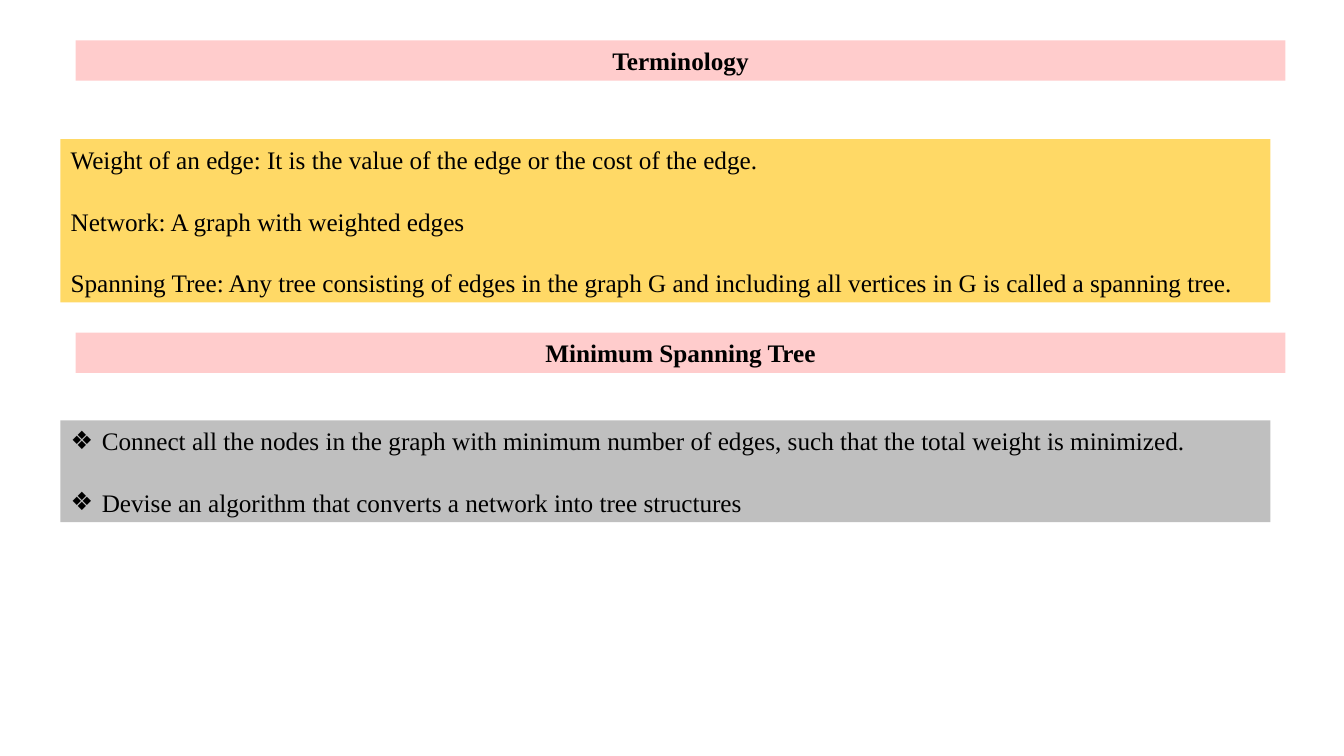
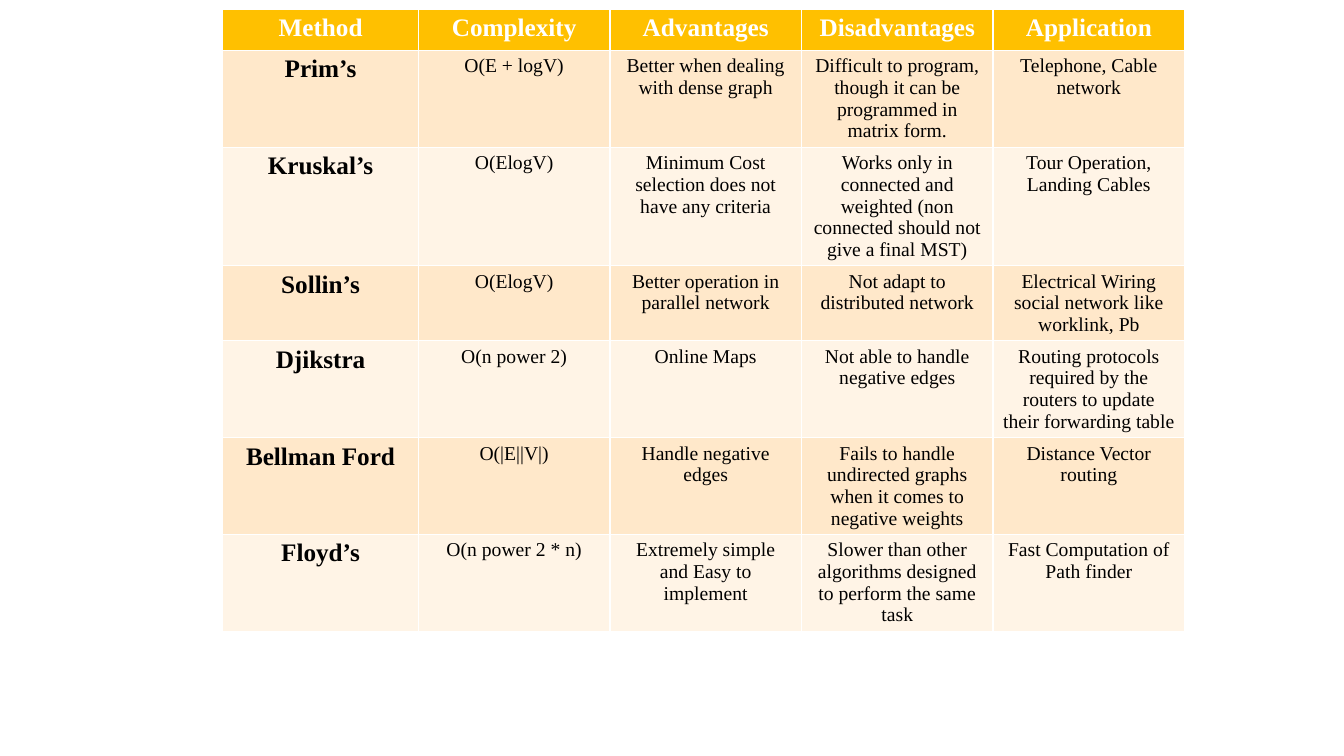
from lxml import etree
from pptx import Presentation
from pptx.dml.color import RGBColor
from pptx.enum.text import MSO_ANCHOR, MSO_AUTO_SIZE, PP_ALIGN
from pptx.oxml.ns import qn
from pptx.util import Inches, Pt

CENTER, JUSTIFY = PP_ALIGN.CENTER, PP_ALIGN.JUSTIFY
TOP, FIXED = MSO_ANCHOR.TOP, MSO_AUTO_SIZE.NONE
FACE = "Times New Roman"
BLACK, WHITE = "000000", "FFFFFF"
PINK, YELLOW, GRAY = "FFCCCC", "FFD966", "BFBFBF"
GOLD, BANDS = "FFC000", ("FFE8CA", "FFF4E6")
HEAD = {"size": Pt(18), "bold": True}
BODY = {"size": Pt(18), "bold": False}
SMALL = {"size": Pt(14), "bold": False}

TERMS = [
    "Weight of an edge: It is the value of the edge or the cost of the edge.",
    "Network: A graph with weighted edges",
    "Spanning Tree: Any tree consisting of edges in the graph G and including "
    "all vertices in G is called a spanning tree.",
]
GOALS = [
    "Connect all the nodes in the graph with minimum number of edges, "
    "such that the total weight is minimized.",
    "Devise an algorithm that converts a network into tree structures",
]
ROWS = [
    ("Method", "Complexity", "Advantages", "Disadvantages", "Application"),
    ("Prim’s", "O(E + logV)", "Better when dealing with dense graph",
     "Difficult to program, though it can be programmed in matrix form.",
     "Telephone, Cable network"),
    ("Kruskal’s", "O(ElogV)",
     "Minimum Cost selection does not have any criteria",
     "Works only in connected and weighted "
     "(non connected should not give a final MST)",
     "Tour Operation, Landing Cables"),
    ("Sollin’s", "O(ElogV)", "Better operation in parallel network",
     "Not adapt to distributed network",
     "Electrical Wiring social network like worklink, Pb"),
    ("Djikstra", "O(n power 2)", "Online Maps",
     "Not able to handle negative edges",
     "Routing protocols required by the routers to update their "
     "forwarding table"),
    ("Bellman Ford", "O(|E||V|)", "Handle negative edges",
     "Fails to handle undirected graphs when it comes to negative weights",
     "Distance Vector routing"),
    ("Floyd’s", "O(n power 2 * n)", "Extremely simple and Easy to implement",
     "Slower than other algorithms designed to perform the same task",
     "Fast Computation of Path finder"),
]


def paint(fill, color):
    """Fill with one solid colour."""
    fill.solid()
    fill.fore_color.rgb = RGBColor.from_string(color)


def write(para, text, style, align, color=BLACK):
    """Put one styled run in a paragraph."""
    para.alignment = align
    run = para.add_run()
    run.text = text
    for name, value in {"name": FACE, **style}.items():
        setattr(run.font, name, value)
    run.font.color.rgb = RGBColor.from_string(color)


def mark(para, sign):
    """Give a paragraph a bullet sign, or none."""
    props = para._p.get_or_add_pPr()
    indent = Inches(0.31) if sign else 0
    props.set("marL", str(indent))
    props.set("indent", str(-indent))
    if sign:
        etree.SubElement(props, qn("a:buChar")).set("char", sign)
    else:
        etree.SubElement(props, qn("a:buNone"))


def panel(shape, box, color):
    """Place and fill a text shape, and return its frame."""
    shape.left, shape.top, shape.width, shape.height = map(Inches, box)
    paint(shape.fill, color)
    frame = shape.text_frame
    frame.word_wrap = True
    frame.auto_size = FIXED
    frame.vertical_anchor = TOP
    return frame


def header(shape, top, text):
    """Draw a pink heading band."""
    frame = panel(shape, (0.75, top, 12, 0.4), PINK)
    write(frame.paragraphs[0], text, HEAD, CENTER)


def listing(shape, top, height, color, lines, sign=None):
    """Draw a coloured panel with spaced lines."""
    frame = panel(shape, (0.6, top, 12, height), color)
    for i, line in enumerate(lines):
        para = frame.add_paragraph() if i else frame.paragraphs[0]
        mark(para, sign)
        para.space_before = Pt(22.5 if i else 0)
        write(para, line, BODY, JUSTIFY)


def terms(deck):
    """Build the slide of terms and goals."""
    slide = deck.slides.add_slide(deck.slide_layouts[3])
    title, upper, lower = slide.placeholders
    header(title, 0.4, "Terminology")
    listing(upper, 1.38, 1.62, YELLOW, TERMS)
    header(slide.shapes.add_textbox(0, 0, 0, 0), 3.3, "Minimum Spanning Tree")
    listing(lower, 4.17, 1.01, GRAY, GOALS, "❖")


def grid(slide, left, top, widths, height):
    """Draw the table of methods."""
    table = slide.shapes.add_table(
        len(ROWS), len(widths), Inches(left), Inches(top),
        Inches(sum(widths)), Inches(height * len(ROWS))).table
    for col, width in zip(table.columns, widths):
        col.width = Inches(width)
    for r, row in enumerate(ROWS):
        table.rows[r].height = Inches(height)
        for c, text in enumerate(row):
            cell = table.cell(r, c)
            paint(cell.fill, BANDS[(r - 1) % 2] if r else GOLD)
            style = SMALL if r and c else HEAD
            write(cell.text_frame.paragraphs[0], text, style, CENTER,
                  BLACK if r else WHITE)


def methods(deck):
    """Build the slide that compares methods."""
    slide = deck.slides.add_slide(deck.slide_layouts[6])
    grid(slide, 2.21, 0.09, [1.94] + [1.9] * 4, 0.41)


def main():
    """Build and save the deck."""
    deck = Presentation()
    deck.slide_width, deck.slide_height = Inches(13.33), Inches(7.5)
    terms(deck)
    methods(deck)
    deck.save("out.pptx")


if __name__ == "__main__":
    main()
